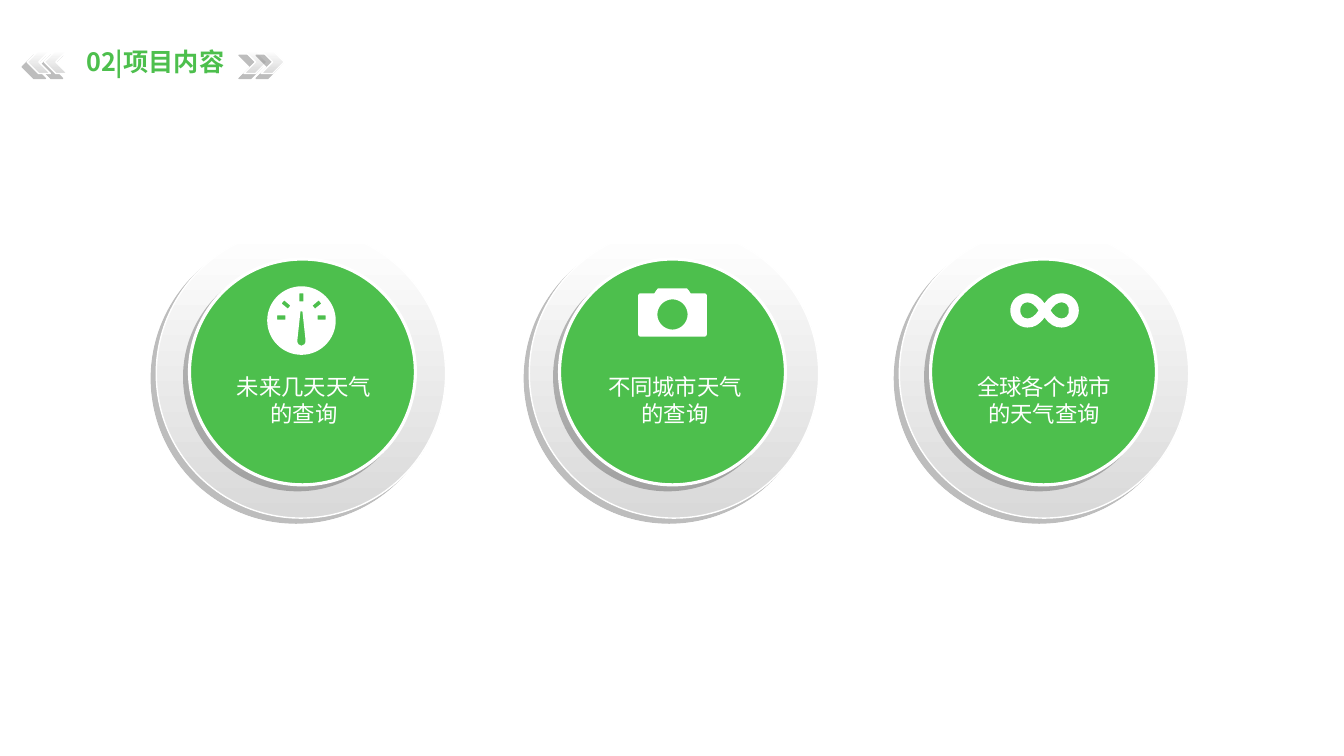
import itertools
import math

import pptx
import pptx.dml.color
import pptx.enum.shapes
import pptx.enum.text
import pptx.oxml
import pptx.oxml.ns
import pptx.util
from pptx.util import Inches

COLORS = {"green": "4DBF4D", "white": "FFFFFF", "grey": "D9D9D9", "shadow": "000000"}
FONT = "Noto Sans CJK SC"
SHAPES = pptx.enum.shapes.MSO_SHAPE
UNITS_PER_INCH = 1000
CIRCLE_HANDLE = 0.55


def color(name):
    return pptx.dml.color.RGBColor.from_string(COLORS[name])


def add_shadow(shape):
    """Give the shape a hard, translucent shadow to the lower left."""
    shape.shadow.inherit = False
    effects = shape.element.spPr.find(pptx.oxml.ns.qn("a:effectLst"))
    effects.append(pptx.oxml.parse_xml(
        f'<a:outerShdw {pptx.oxml.ns.nsdecls("a")} blurRad="0" dist="63500"'
        ' dir="8100000" algn="tr" rotWithShape="0">'
        f'<a:srgbClr val="{COLORS["shadow"]}"><a:alpha val="25000"/></a:srgbClr>'
        '</a:outerShdw>'))


def add_raised_shape(shapes, kind, left, top, size, line_width, fill=None):
    """Add a white-edged shape, filled plainly or with the white-to-grey gradient."""
    shape = shapes.add_shape(kind, Inches(left), Inches(top), Inches(size), Inches(size))
    add_shadow(shape)
    if fill:
        shape.fill.solid()
        shape.fill.fore_color.rgb = color(fill)
    else:
        shape.fill.gradient()
        shape.fill.gradient_angle = 270
        for stop, name, position in zip(shape.fill.gradient_stops, ("white", "grey"), (0, 1)):
            stop.color.rgb = color(name)
            stop.position = position
    shape.line.color.rgb = color("white")
    shape.line.width = pptx.util.Pt(line_width)
    return shape


def add_text(shapes, text, left, top, width, height, size, name, bold=False, margin=None):
    box = shapes.add_textbox(Inches(left), Inches(top), Inches(width), Inches(height))
    frame = box.text_frame
    frame.word_wrap = True
    if margin is not None:
        frame.margin_left = frame.margin_right = Inches(margin)
        frame.margin_top = frame.margin_bottom = Inches(margin)
    paragraph = frame.paragraphs[0]
    paragraph.text = text
    paragraph.alignment = pptx.enum.text.PP_ALIGN.CENTER
    paragraph.line_spacing = pptx.util.Pt(1.2 * size)
    paragraph.font.size = pptx.util.Pt(size)
    paragraph.font.bold = bold
    paragraph.font.color.rgb = color(name)
    run_font = paragraph.runs[0].font
    run_font.name = FONT
    latin = run_font._element.find(pptx.oxml.ns.qn("a:latin"))
    latin.addnext(pptx.oxml.parse_xml(
        f'<a:ea {pptx.oxml.ns.nsdecls("a")} typeface="{FONT}"/>'))


# A contour is a list of segments: one point for a line, three for a cubic curve.

def polygon(*points):
    return [(point,) for point in points]


def circle(x, y, radius):
    contour = [((x + radius, y),)]
    for dx, dy in ((1, 0), (0, 1), (-1, 0), (0, -1)):
        arc = ((dx - dy * CIRCLE_HANDLE, dy + dx * CIRCLE_HANDLE),
               (dx * CIRCLE_HANDLE - dy, dy * CIRCLE_HANDLE + dx), (-dy, dx))
        contour.append(tuple((x + radius * px, y + radius * py) for px, py in arc))
    return contour


def mirror(contour, x_sign, y_sign):
    return [tuple((x * x_sign, y * y_sign) for x, y in segment) for segment in contour]


def symmetric(contour, x_sign, y_sign):
    """Continue the contour with its mirror image, run backwards."""
    reflected = mirror(contour, x_sign, y_sign)
    points = iter([point for segment in reflected for point in segment][::-1])
    sizes = [1] + [len(segment) for segment in reflected[:0:-1]]
    back = [tuple(itertools.islice(points, size)) for size in sizes]
    return contour + (back[1:] if back[0][0] == contour[-1][-1] else back)


def gauge_tick(degrees):
    cos, sin = math.cos(math.radians(degrees)), math.sin(math.radians(degrees))
    corners = ((0.16, -0.02), (0.24, -0.02), (0.24, 0.02), (0.16, 0.02))
    return polygon(*((r * cos - w * sin, -0.03 - r * sin - w * cos) for r, w in corners))


def gauge_icon():
    needle = polygon((-0.01, -0.09), (0.01, -0.09), (0.04, 0.19))
    needle.append(((0.05, 0.27), (-0.05, 0.27), (-0.04, 0.19)))
    ticks = [gauge_tick(degrees) for degrees in (0, 40, 90, 140, 180)]
    return [circle(0, 0, 0.34), needle, *ticks]


def camera_icon():
    right = [((0.13, -0.24),), ((0.14, -0.24), (0.15, -0.24), (0.16, -0.22)),
             ((0.18, -0.19),), ((0.32, -0.19),),
             ((0.33, -0.19), (0.34, -0.18), (0.34, -0.17)),
             ((0.34, 0.22),), ((0.34, 0.23), (0.33, 0.24), (0.32, 0.24))]
    return [symmetric(right, -1, 1), circle(0, 0.02, 0.15)]


def infinity_icon():
    rim = [((0, 0.07),), ((-0.05, 0.14), (-0.1, 0.17), (-0.17, 0.17)),
           ((-0.21, 0.17), (-0.26, 0.15), (-0.29, 0.12)),
           ((-0.32, 0.09), (-0.34, 0.05), (-0.34, 0))]
    eye = [((-0.06, 0),), ((-0.09, 0.05), (-0.13, 0.08), (-0.17, 0.08)),
           ((-0.19, 0.08), (-0.21, 0.07), (-0.22, 0.06)),
           ((-0.24, 0.04), (-0.24, 0.02), (-0.24, 0))]
    left_eye = symmetric(eye, 1, -1)
    return [symmetric(symmetric(rim, 1, -1), -1, 1), left_eye, mirror(left_eye, -1, 1)]


def bend_segments(icon, contours):
    """Turn the straight steps of the outline into curves where a segment has handles."""
    left, top = (min(segment[-1][axis] for contour in contours for segment in contour)
                 for axis in (0, 1))
    steps = list(icon.element.iter(pptx.oxml.ns.qn("a:lnTo")))
    segments = [segment for contour in contours for segment in contour[1:]]
    for step, segment in zip(steps, segments):
        if len(segment) == 3:
            points = "".join(f'<a:pt x="{round((x - left) * UNITS_PER_INCH)}"'
                             f' y="{round((y - top) * UNITS_PER_INCH)}"/>' for x, y in segment)
            step.getparent().replace(step, pptx.oxml.parse_xml(
                f'<a:cubicBezTo {pptx.oxml.ns.nsdecls("a")}>{points}</a:cubicBezTo>'))


def add_icon(shapes, contours, center_x, center_y):
    """Draw the first contour with the others cut out of it."""
    # Closed by hand, so that every step of the outline matches one segment.
    builder = shapes.build_freeform(scale=Inches(1) / UNITS_PER_INCH)
    contours = [contour if contour[0][0] == contour[-1][-1] else contour + [contour[0]]
                for contour in contours]
    for index, contour in enumerate(contours):
        start, *ends = [(segment[-1][0] * UNITS_PER_INCH, segment[-1][1] * UNITS_PER_INCH)
                        for segment in contour]
        if index == 0:
            builder = shapes.build_freeform(*start, scale=Inches(1) / UNITS_PER_INCH)
        else:
            builder.move_to(*start)
        builder.add_line_segments(ends)
    icon = builder.convert_to_shape(Inches(center_x), Inches(center_y))
    bend_segments(icon, contours)
    icon.shadow.inherit = False
    icon.fill.solid()
    icon.fill.fore_color.rgb = color("white")
    icon.line.fill.background()


def add_header(slide):
    shapes = slide.shapes.add_group_shape().shapes
    for left, flipped in ((2.42, False), (2.59, False), (0.44, True), (0.27, True)):
        chevron = add_raised_shape(shapes, SHAPES.CHEVRON, left, 0.5, 0.23, 1)
        if flipped:
            chevron.element.spPr.xfrm.set("flipH", "1")
    add_text(shapes, "02|项目内容", 0.66, 0.41, 1.76, 0.4, 18, "green", bold=True)


def add_badge(slide, ring_left, disc_left, text_left, icon_center, contours, caption):
    shapes = slide.shapes
    add_raised_shape(shapes, SHAPES.OVAL, ring_left, 2.27, 2.87, 1)
    add_raised_shape(shapes, SHAPES.OVAL, disc_left, 2.57, 2.24, 2.25, "green")
    add_icon(shapes, contours, *icon_center)
    add_text(shapes, caption, text_left, 3.7, 1.51, 0.54, 16, "white", margin=0)


def main():
    presentation = pptx.Presentation()
    presentation.slide_width = Inches(13.33)
    presentation.slide_height = Inches(7.5)
    slide = presentation.slides.add_slide(presentation.slide_layouts[6])
    add_header(slide)
    add_badge(slide, 1.55, 1.88, 2.26, (2.99, 3.18), gauge_icon(), "未来几天天气的查询")
    add_badge(slide, 5.25, 5.55, 5.94, (6.67, 3.1), camera_icon(), "不同城市天气的查询")
    add_badge(slide, 8.92, 9.23, 9.6, (10.36, 3.08), infinity_icon(), "全球各个城市的天气查询")
    presentation.save("out.pptx")


if __name__ == "__main__":
    main()
